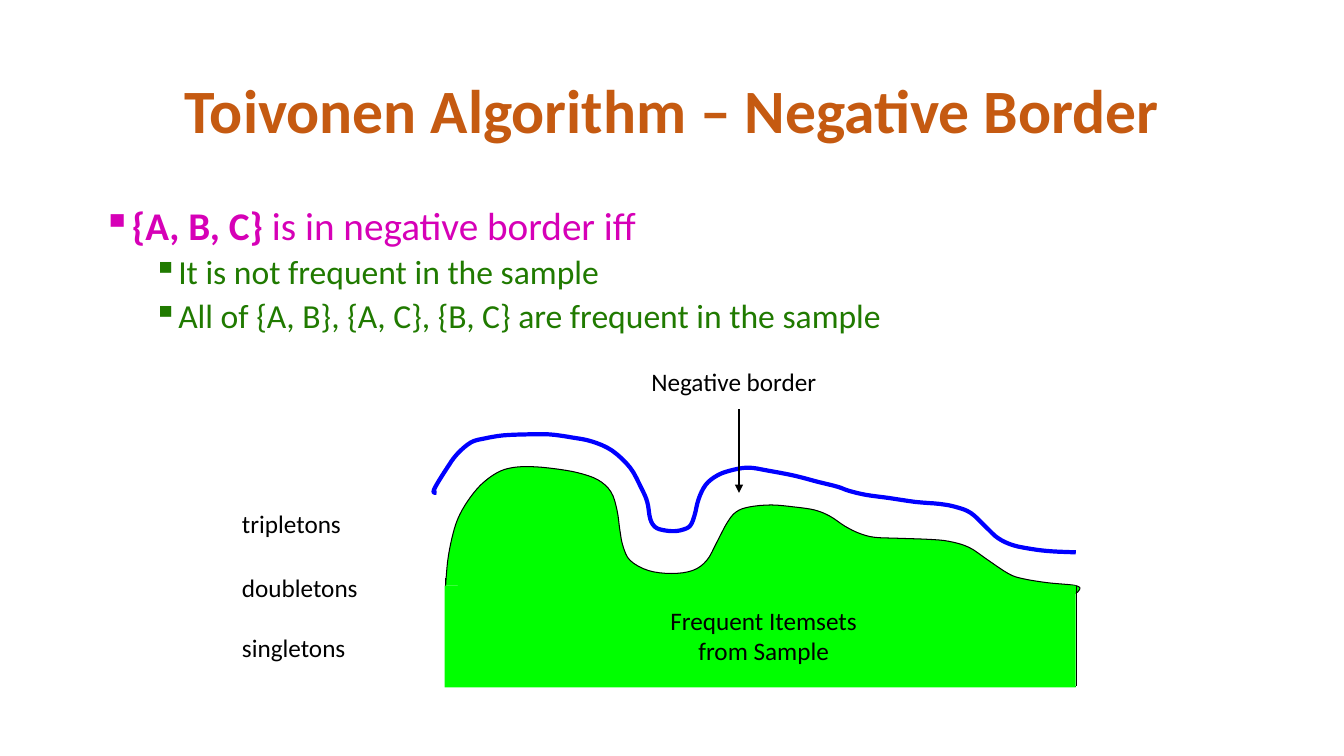
from lxml.etree import SubElement
from pptx import Presentation
from pptx.dml.color import RGBColor
from pptx.enum.shapes import MSO_CONNECTOR, MSO_SHAPE
from pptx.enum.text import MSO_ANCHOR, PP_ALIGN
from pptx.oxml.ns import qn
from pptx.util import Inches, Pt

COLORS = {
    "title": "C55A11",
    "claim": "D600B7",
    "condition": "207A00",
    "frequent": "00FF00",
    "border": "0000FF",
    "ink": "000000",
}

RIDGE = [
    (4.42, 5.81), (4.44, 5.57), (4.48, 5.35), (4.54, 5.15), (4.64, 4.97),
    (4.77, 4.81), (4.93, 4.69), (5.08, 4.64), (5.27, 4.63), (5.5, 4.65),
    (5.73, 4.69), (5.93, 4.76), (6.06, 4.88), (6.12, 5.06), (6.15, 5.27),
    (6.18, 5.42), (6.25, 5.56), (6.43, 5.66), (6.66, 5.69), (6.87, 5.66),
    (7.01, 5.56), (7.11, 5.38), (7.21, 5.19), (7.3, 5.08), (7.43, 5.03),
    (7.65, 5.01), (7.88, 5.03), (8.08, 5.06), (8.23, 5.12), (8.38, 5.22),
    (8.52, 5.29), (8.67, 5.33), (8.89, 5.34), (9.19, 5.35), (9.41, 5.37),
    (9.61, 5.43), (9.79, 5.55), (10, 5.69), (10.14, 5.74), (10.38, 5.78),
    (10.6, 5.8), (10.67, 5.81), (10.71, 5.83), (10.7, 5.86), (10.67, 5.89),
]
NEGATIVE_BORDER = [
    (4.33, 4.89), (4.3, 4.88), (4.33, 4.81), (4.43, 4.65), (4.53, 4.51),
    (4.67, 4.39), (4.81, 4.35), (4.99, 4.32), (5.22, 4.31), (5.45, 4.31),
    (5.67, 4.34), (5.87, 4.38), (6.07, 4.47), (6.25, 4.64), (6.36, 4.84),
    (6.42, 4.98), (6.45, 5.15), (6.5, 5.23), (6.58, 5.26), (6.69, 5.27),
    (6.79, 5.25), (6.85, 5.21), (6.89, 5.11), (6.93, 4.95), (7, 4.81),
    (7.11, 4.72), (7.24, 4.67), (7.42, 4.64), (7.62, 4.67), (7.88, 4.72),
    (8.11, 4.78), (8.31, 4.83), (8.42, 4.87), (8.59, 4.91), (8.81, 4.94),
    (9.08, 4.98), (9.32, 5), (9.48, 5.03), (9.63, 5.09), (9.78, 5.23),
    (9.9, 5.34), (10.05, 5.41), (10.25, 5.45), (10.43, 5.47), (10.67, 5.48),
]


def smooth_curve(points, steps=4):
    padded = [points[0], *points, points[-1]]
    curve = [points[0]]
    for a, b, c, d in zip(padded, padded[1:], padded[2:], padded[3:]):
        for step in range(1, steps + 1):
            t = step / steps
            curve.append(tuple(
                q + t / 2 * (r - p + t * (2 * p - 5 * q + 4 * r - s + t * (3 * (q - r) + s - p)))
                for p, q, r, s in zip(a, b, c, d)
            ))
    return curve


class BorderSlide:
    font = "Calibri"

    def __init__(self, deck):
        self.shapes = deck.slides.add_slide(deck.slide_layouts[6]).shapes

    def color(self, name):
        return RGBColor.from_string(COLORS[name])

    def paint(self, shape, fill=None, line=None, width=0.75):
        shape.shadow.inherit = False
        if fill:
            shape.fill.solid()
            shape.fill.fore_color.rgb = self.color(fill)
        else:
            shape.fill.background()
        if line:
            shape.line.color.rgb = self.color(line)
            shape.line.width = Pt(width)
        else:
            shape.line.fill.background()

    def frame(self, shape, insets, anchor=MSO_ANCHOR.TOP):
        frame = shape.text_frame
        frame.word_wrap = True
        frame.vertical_anchor = anchor
        frame.margin_left, frame.margin_top, frame.margin_right, frame.margin_bottom = map(Inches, insets)
        return frame

    def box(self, place, insets=(0.1, 0.05, 0.1, 0.05), anchor=MSO_ANCHOR.TOP):
        return self.frame(self.shapes.add_textbox(*map(Inches, place)), insets, anchor)

    def put_text(self, paragraph, runs, size, color, align=PP_ALIGN.LEFT, spacing=None):
        for text, bold in runs:
            run = paragraph.add_run()
            run.text = text
            if len(runs) > 1:
                run.font.bold = bold
        paragraph.alignment = align
        if spacing:
            paragraph.line_spacing = spacing
        font = paragraph.font
        font.name, font.size = self.font, Pt(size)
        font.color.rgb = self.color(color)
        if len(runs) == 1:
            font.bold = runs[0][1]

    def bullet(self, paragraph, runs, level, size, color, before):
        paragraph.level = level
        paragraph.space_before = Pt(before)
        paragraph.line_spacing = 0.9
        props = paragraph._p.get_or_add_pPr()
        props.set("marL", str(Inches(0.25 + 0.5 * level)))
        props.set("indent", str(Inches(-0.25)))
        SubElement(props, qn("a:buChar")).set("char", "▪")
        self.put_text(paragraph, runs, size, color)

    def label(self, text, left, top, width):
        frame = self.box((left, top, width, 0.33), (0, 0.01, 0, 0))
        self.put_text(frame.paragraphs[0], [(text, False)], 18, "ink")

    def outline(self, points, closed=False, **paint):
        corners = [(Inches(x), Inches(y)) for x, y in points]
        builder = self.shapes.build_freeform(*corners[0])
        builder.add_line_segments(corners[1:], close=closed)
        self.paint(builder.convert_to_shape(), **paint)

    def line(self, start, end, width, arrow=False):
        connector = self.shapes.add_connector(
            MSO_CONNECTOR.STRAIGHT, *map(Inches, (*start, *end)))
        connector.line.color.rgb = self.color("ink")
        connector.line.width = Pt(width)
        if arrow:
            tail = SubElement(connector.line._get_or_add_ln(), qn("a:tailEnd"))
            tail.set("type", "triangle")
        SubElement(connector._element.spPr, qn("a:effectLst"))

    def block(self, text, place, insets):
        block = self.shapes.add_shape(MSO_SHAPE.RECTANGLE, *map(Inches, place))
        self.paint(block, fill="frequent")
        frame = self.frame(block, insets)
        self.put_text(frame.paragraphs[0], [(text, False)], 18, "ink", PP_ALIGN.CENTER, Pt(21.3))


def main():
    deck = Presentation()
    deck.slide_width, deck.slide_height = Inches(13.33), Inches(7.5)
    slide = BorderSlide(deck)

    title = slide.box((0.92, 0.4, 11.5, 1.45), anchor=MSO_ANCHOR.MIDDLE)
    slide.put_text(title.paragraphs[0], [("Toivonen Algorithm – Negative Border", True)],
                   44, "title", PP_ALIGN.CENTER, 0.9)

    definition = slide.box((0.92, 2, 11.5, 5.07))
    slide.bullet(definition.paragraphs[0],
                 [("{A, B, C} ", True), ("is in negative border iff", False)], 0, 28, "claim", 10)
    for condition in ("It is not frequent in the sample",
                      "All of {A, B}, {A, C}, {B, C} are frequent in the sample"):
        slide.bullet(definition.add_paragraph(), [(condition, False)], 1, 24, "condition", 5)

    ridge = smooth_curve(RIDGE)
    slide.outline(ridge, closed=True, fill="frequent")
    slide.outline(ridge, line="ink")
    slide.outline(smooth_curve(NEGATIVE_BORDER), line="border", width=3)
    slide.line((7.33, 4.06), (7.33, 4.89), 1.5, arrow=True)
    slide.line((4.42, 6.81), (10.67, 6.81), 0.38)
    slide.line((4.42, 6.81), (4.42, 5.73), 0.75)
    slide.line((10.67, 5.81), (10.67, 6.81), 0.38)
    slide.block("Frequent Itemsets from Sample", (4.41, 5.81, 6.26, 1.01), (2.19, 0.2, 2.12, 0))

    for itemset_size, top in (("tripletons", 5.03), ("doubletons", 5.67), ("singletons", 6.26)):
        slide.label(itemset_size, 2.4, top, 1.2)
    slide.label("Negative border", 6.46, 3.62, 1.75)

    deck.save("out.pptx")


if __name__ == "__main__":
    main()
